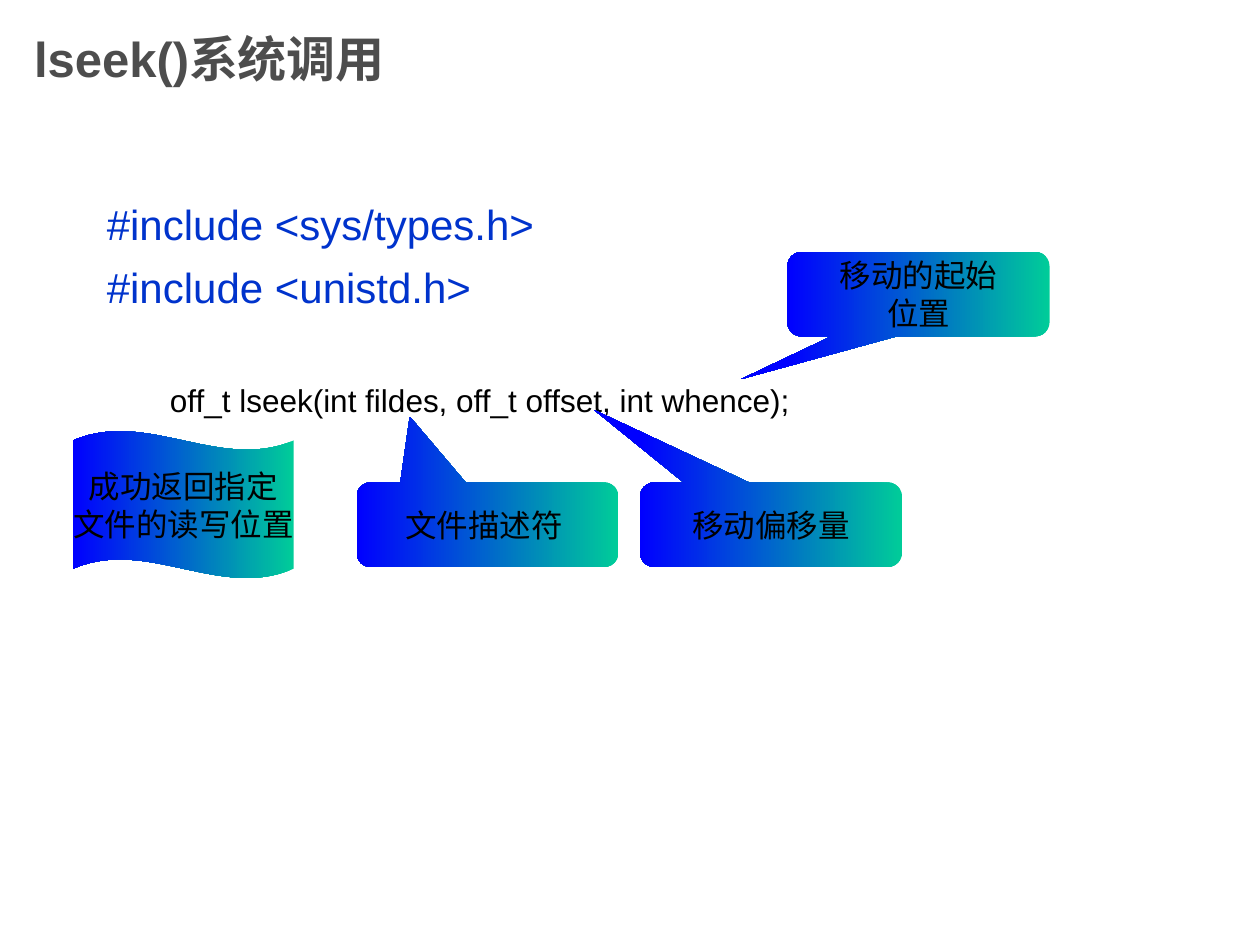
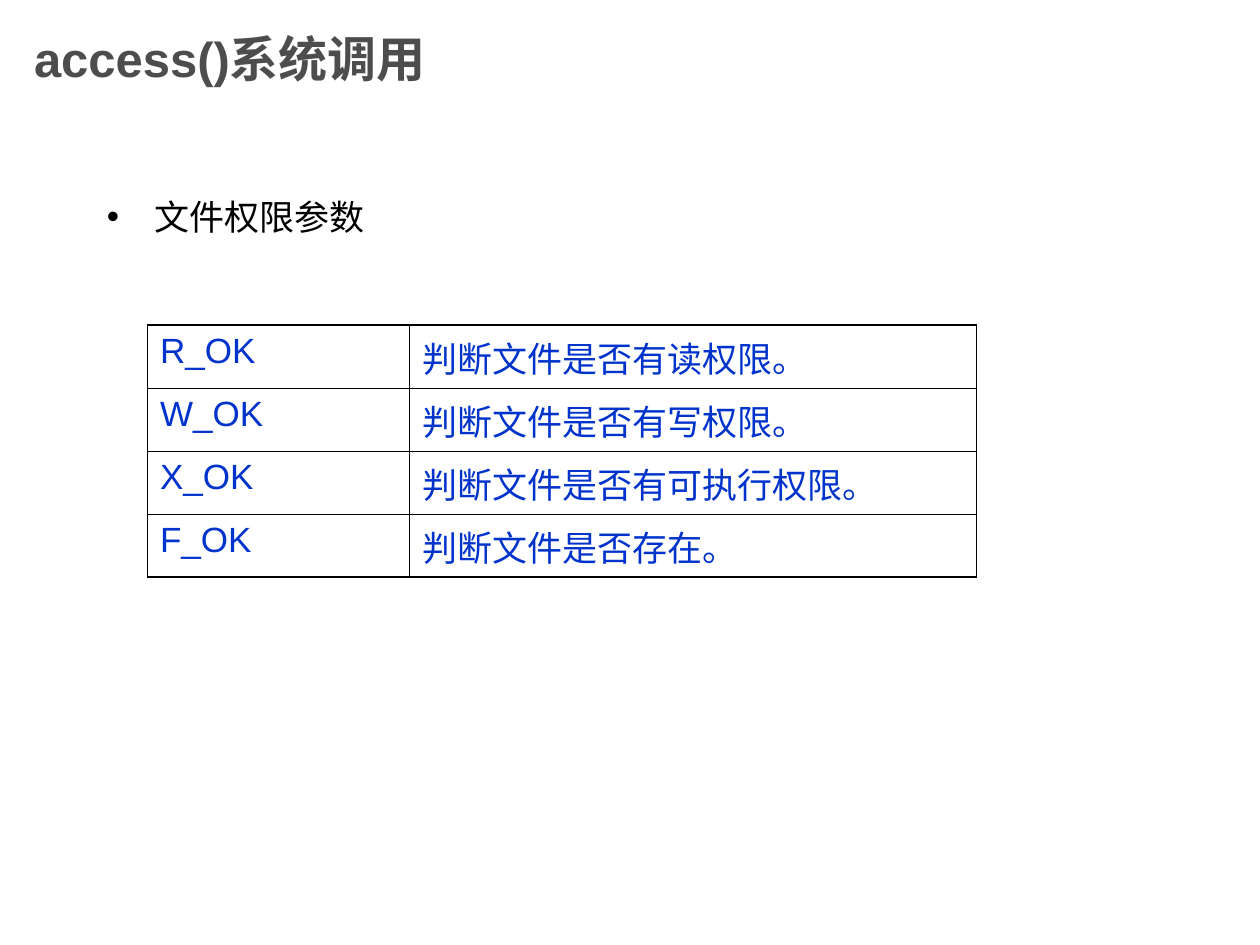
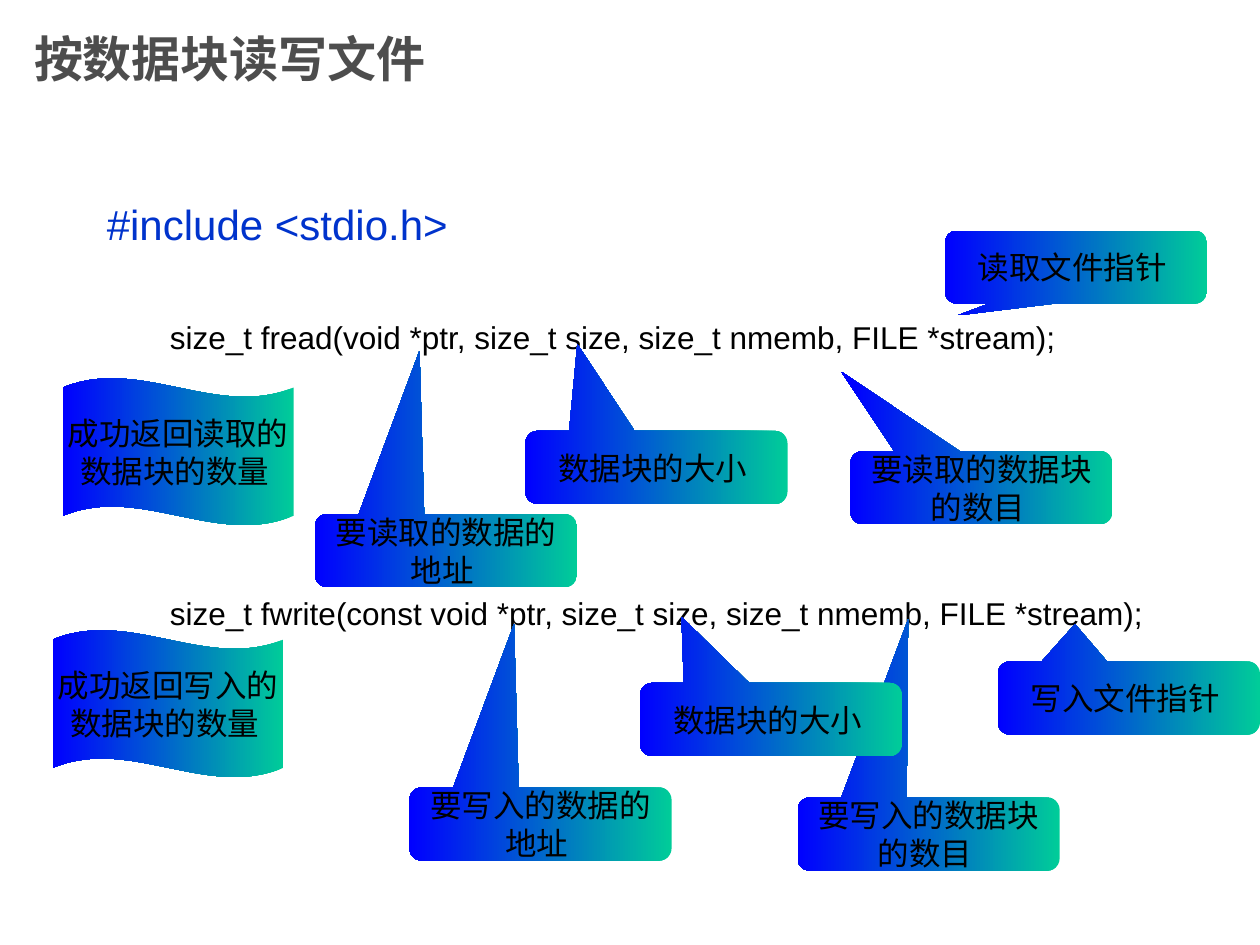
from dataclasses import dataclass

from lxml import etree
from pptx import Presentation
from pptx.dml.color import RGBColor
from pptx.enum.shapes import MSO_SHAPE
from pptx.enum.text import MSO_ANCHOR, PP_ALIGN
from pptx.oxml.ns import qn
from pptx.util import Inches, Pt

CALLOUT_SHAPE = MSO_SHAPE.ROUNDED_RECTANGULAR_CALLOUT
WAVE_SHAPE = MSO_SHAPE.WAVE
MIDDLE, TOP = MSO_ANCHOR.MIDDLE, MSO_ANCHOR.TOP
LEFT, CENTER = PP_ALIGN.LEFT, PP_ALIGN.CENTER

BLACK = RGBColor(0x00, 0x00, 0x00)
TITLE_GREY = RGBColor(0x4D, 0x4D, 0x4D)
CODE_BLUE = RGBColor(0x00, 0x33, 0xCC)
GRADIENT_COLORS = (RGBColor(0x00, 0xCC, 0x99), RGBColor(0x00, 0x00, 0xFF))
FONT = "Arial"

TITLE_ONLY = 5
CALLOUT_WIDTH = 2.08
CALLOUT_CORNER = 0.167
WAVE_HEIGHT = 1.17
WAVE_DEPTH = 0.065
OUTER_BORDER, INNER_BORDER = Pt(1.08), Pt(0.45)


@dataclass
class CodeLine:
    text: str
    space_before: float = 0
    is_prototype: bool = False


@dataclass
class Callout:
    """A note whose tip lies at fractions of its size from its centre."""
    lines: tuple[str, ...]
    left: float
    top: float
    tip_x: float
    tip_y: float
    height: float = 0.58


@dataclass
class ReturnNote:
    lines: tuple[str, ...]
    left: float
    top: float
    width: float


LSEEK_CODE = [
    CodeLine("#include <sys/types.h>"),
    CodeLine("#include <unistd.h>", 7),
    CodeLine("off_t lseek(int fildes, off_t offset, int whence);", 39.5, True),
]
LSEEK_NOTES = [
    ReturnNote(("成功返回指定", "文件的读写位置"), 0.58, 3.42, 1.75),
    Callout(("文件描述符 ",), 2.83, 3.83, -0.297, -1.281, 0.67),
    Callout(("移动偏移量",), 5.08, 3.83, -0.674, -1.357, 0.67),
    Callout(("移动的起始", "位置"), 6.25, 2, -0.676, 1.005, 0.67),
]

ACCESS_MODES = [
    ("R_OK", "判断文件是否有读权限。"),
    ("W_OK", "判断文件是否有写权限。"),
    ("X_OK", "判断文件是否有可执行权限。"),
    ("F_OK", "判断文件是否存在。"),
]
MODE_COLUMNS = (2.08, 4.5)
MODE_ROW_HEIGHT = 0.5

BLOCK_CODE = [
    CodeLine("#include <stdio.h>"),
    CodeLine("size_t fread(void *ptr, size_t size, size_t nmemb, FILE *stream);",
             39.5, True),
    CodeLine("size_t fwrite(const void *ptr, size_t size, size_t nmemb, FILE *stream);",
             136, True),
]
BLOCK_NOTES = [
    Callout(("要读取的数据的地址 ",), 2.5, 4.08, -0.101, -2.738),
    Callout(("数据块的大小 ",), 4.17, 3.42, -0.302, -1.69),
    Callout(("要写入的数据块的数目 ",), 6.33, 6.33, -0.078, -2.943),
    ReturnNote(("成功返回读取的", "数据块的数量 "), 0.5, 3, 1.83),
    ReturnNote(("成功返回写入的", "数据块的数量 "), 0.42, 5, 1.83),
    Callout(("要写入的数据的地址 ",), 3.25, 6.25, -0.101, -2.738),
    Callout(("数据块的大小 ",), 5.08, 5.42, -0.342, -1.405),
    Callout(("要读取的数据块的数目 ",), 6.75, 3.58, -0.536, -1.589),
    Callout(("读取文件指针 ",), 7.5, 1.83, -0.452, 0.661),
    Callout(("写入文件指针 ",), 7.92, 5.25, -0.206, -1.012),
]


def add_run(paragraph, text: str, size: float, color: RGBColor,
            bold: bool = False) -> None:
    run = paragraph.add_run()
    run.text = text
    run.font.name = FONT
    run.font.size = Pt(size)
    run.font.bold = bold
    run.font.color.rgb = color


def next_paragraph(frame, index: int):
    return frame.add_paragraph() if index else frame.paragraphs[0]


def add_titled_slide(deck, title_text: str):
    slide = deck.slides.add_slide(deck.slide_layouts[TITLE_ONLY])
    title = slide.shapes.title
    title.left, title.top = Inches(0.17), Inches(0)
    title.width, title.height = Inches(7.5), Inches(0.92)
    frame = title.text_frame
    frame.vertical_anchor = MIDDLE
    frame.paragraphs[0].alignment = LEFT
    add_run(frame.paragraphs[0], title_text, 28, TITLE_GREY, bold=True)
    return slide


def add_body(slide, top: float, width: float):
    box = slide.shapes.add_textbox(Inches(0.75), Inches(top),
                                   Inches(width), Inches(5.17))
    box.text_frame.word_wrap = True
    return box.text_frame


def set_indent(paragraph, margin: float, first_line: float):
    properties = paragraph._p.get_or_add_pPr()
    properties.set("marL", str(Inches(margin)))
    properties.set("indent", str(Inches(first_line)))
    return properties


def add_code(slide, code: list[CodeLine]) -> None:
    frame = add_body(slide, 1.53, 8.5)
    for index, line in enumerate(code):
        paragraph = next_paragraph(frame, index)
        if index:
            paragraph.space_before = Pt(line.space_before)
        if line.is_prototype:
            paragraph.level = 1
            set_indent(paragraph, 0.81, -0.31)
            add_run(paragraph, line.text, 18, BLACK)
        else:
            set_indent(paragraph, 0.38, -0.38)
            add_run(paragraph, line.text, 24, CODE_BLUE)


def add_gradient_shape(slide, preset, left: float, top: float, width: float,
                       height: float, lines: tuple[str, ...], wrap: bool):
    shape = slide.shapes.add_shape(preset, Inches(left), Inches(top),
                                   Inches(width), Inches(height))
    shape.shadow.inherit = False
    shape.line.fill.background()
    shape.fill.gradient()
    shape.fill.gradient_angle = 180
    for stop, color in zip(shape.fill.gradient_stops, GRADIENT_COLORS):
        stop.color.rgb = color
    frame = shape.text_frame
    frame.word_wrap = wrap
    frame.vertical_anchor = MIDDLE
    for index, text in enumerate(lines):
        paragraph = next_paragraph(frame, index)
        paragraph.alignment = CENTER
        add_run(paragraph, text, 18, BLACK)
    return shape


def add_notes(slide, notes: list[Callout | ReturnNote]) -> None:
    for note in notes:
        if isinstance(note, Callout):
            shape = add_gradient_shape(slide, CALLOUT_SHAPE, note.left, note.top,
                                       CALLOUT_WIDTH, note.height, note.lines, True)
            settings = (note.tip_x, note.tip_y, CALLOUT_CORNER)
        else:
            shape = add_gradient_shape(slide, WAVE_SHAPE, note.left, note.top,
                                       note.width, WAVE_HEIGHT, note.lines, False)
            settings = (WAVE_DEPTH, 0)
        for index, value in enumerate(settings):
            shape.adjustments[index] = value


def add_bullet_line(slide, text: str) -> None:
    paragraph = add_body(slide, 1.5, 4.17).paragraphs[0]
    properties = set_indent(paragraph, 0.38, -0.38)
    bullet_color = etree.SubElement(properties, qn("a:buClr"))
    etree.SubElement(bullet_color, qn("a:srgbClr"), val=str(BLACK))
    etree.SubElement(properties, qn("a:buFont"), typeface=FONT)
    etree.SubElement(properties, qn("a:buChar"), char="•")
    add_run(paragraph, text, 20, BLACK)


def set_borders(cell, outer_sides: dict[str, bool]) -> None:
    """Draw thick lines on the table's outer sides and thin ones inside."""
    properties = cell._tc.get_or_add_tcPr()
    for index, (side, is_outer) in enumerate(outer_sides.items()):
        width = OUTER_BORDER if is_outer else INNER_BORDER
        border = etree.Element(qn(f"a:ln{side}"), w=str(int(width)))
        fill = etree.SubElement(border, qn("a:solidFill"))
        etree.SubElement(fill, qn("a:srgbClr"), val=str(BLACK))
        properties.insert(index, border)


def add_mode_table(slide) -> None:
    row_count, column_count = len(ACCESS_MODES), len(MODE_COLUMNS)
    table = slide.shapes.add_table(
        row_count, column_count, Inches(1.17), Inches(2.58),
        Inches(sum(MODE_COLUMNS)), Inches(MODE_ROW_HEIGHT * row_count)).table
    table.first_row = table.horz_banding = False
    for column, width in zip(table.columns, MODE_COLUMNS):
        column.width = Inches(width)
    for row, texts in enumerate(ACCESS_MODES):
        table.rows[row].height = Inches(MODE_ROW_HEIGHT)
        for column, text in enumerate(texts):
            cell = table.cell(row, column)
            cell.fill.background()
            cell.vertical_anchor = TOP
            add_run(cell.text_frame.paragraphs[0], text, 20, CODE_BLUE)
            set_borders(cell, {"L": column == 0, "R": column == column_count - 1,
                               "T": row == 0, "B": row == row_count - 1})


def main() -> None:
    deck = Presentation()
    deck.slide_width, deck.slide_height = Inches(10), Inches(7.5)

    lseek_slide = add_titled_slide(deck, "lseek()系统调用")
    add_code(lseek_slide, LSEEK_CODE)
    add_notes(lseek_slide, LSEEK_NOTES)

    access_slide = add_titled_slide(deck, "access()系统调用")
    add_bullet_line(access_slide, "文件权限参数")
    add_mode_table(access_slide)

    block_slide = add_titled_slide(deck, "按数据块读写文件")
    add_code(block_slide, BLOCK_CODE)
    add_notes(block_slide, BLOCK_NOTES)

    deck.save("out.pptx")


if __name__ == "__main__":
    main()
